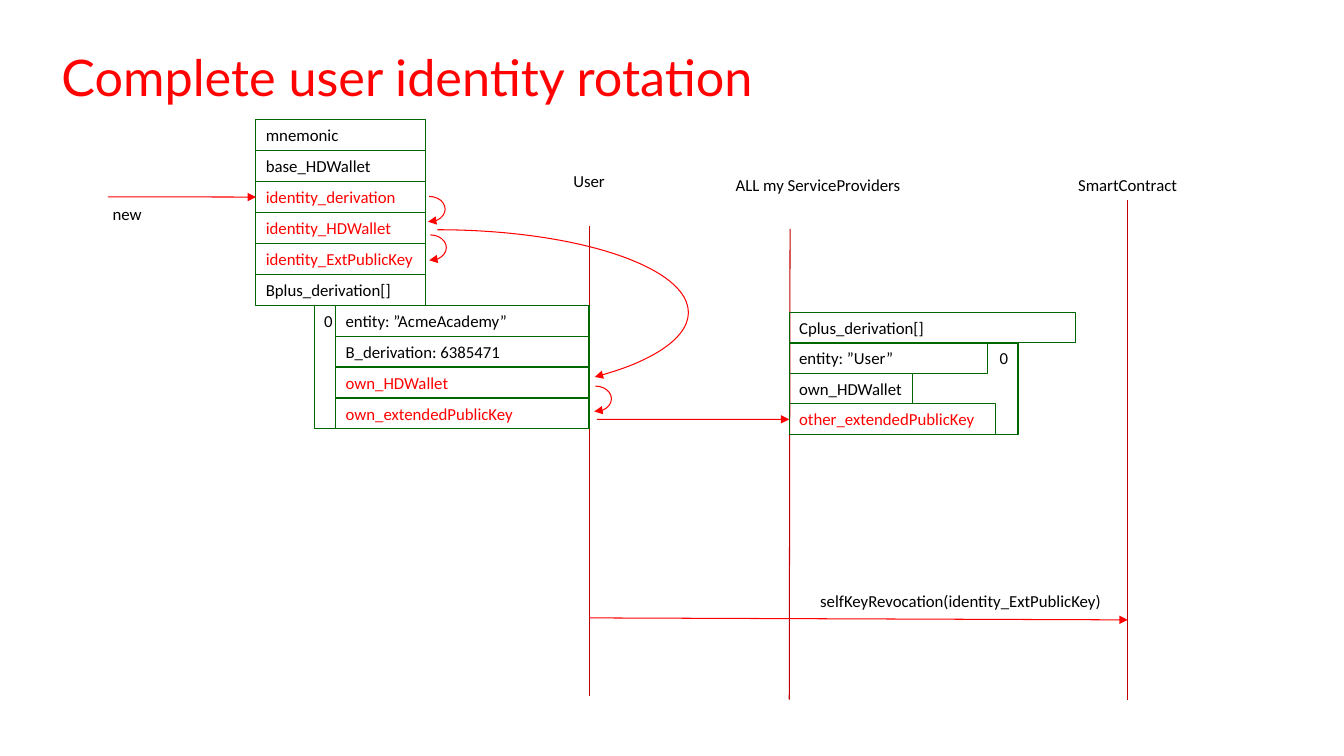
from dataclasses import dataclass
from typing import Any, Optional

from lxml.etree import SubElement
from pptx import Presentation
from pptx.dml.color import RGBColor
from pptx.enum.shapes import MSO_CONNECTOR, MSO_SHAPE
from pptx.enum.text import MSO_ANCHOR, MSO_AUTO_SIZE, PP_ALIGN
from pptx.oxml.ns import qn
from pptx.util import Cm, Pt


@dataclass(frozen=True)
class Theme:
    title: RGBColor = RGBColor(0xFF, 0x02, 0x01)
    new: RGBColor = RGBColor(0xFF, 0x00, 0x00)
    life: RGBColor = RGBColor(0xC0, 0x00, 0x00)
    edge: RGBColor = RGBColor(0x00, 0x66, 0x00)
    ink: RGBColor = RGBColor(0x00, 0x00, 0x00)
    head: Pt = Pt(36)
    body: Pt = Pt(12)
    thin: Pt = Pt(0.75)
    frame: Pt = Pt(1)


THEME = Theme()
ROW = 0.77


@dataclass(frozen=True)
class Field:
    text: str
    width: float
    fresh: bool = False
    wrap: bool = True


@dataclass(frozen=True)
class Stack:
    left: float
    top: float
    step: float
    fields: tuple[Field, ...]


@dataclass(frozen=True)
class Frame:
    left: float
    top: float
    width: float
    height: float
    align: PP_ALIGN


@dataclass(frozen=True)
class Label:
    text: str
    left: float
    top: float
    width: float
    wrap: bool = False


@dataclass(frozen=True)
class Line:
    start: tuple[float, float]
    end: tuple[float, float]
    arrow: bool = False
    goal: Optional[str] = None


@dataclass(frozen=True)
class Arc:
    left: float
    top: float
    width: float = 0.81
    height: float = 0.64
    stop: float = 56.82


STACKS = (
    Stack(6.45, 3.02, 0.78, (
        Field("mnemonic", 4.27),
        Field("base_HDWallet", 4.27),
        Field("identity_derivation", 4.27, True),
        Field("identity_HDWallet", 4.27, True),
        Field("identity_ExtPublicKey", 4.27, True, False),
        Field("Bplus_derivation[]", 4.27),
    )),
    Stack(8.46, 7.7, 0.78, (
        Field("entity: ”AcmeAcademy”", 6.4),
        Field("B_derivation: 6385471", 6.4),
        Field("own_HDWallet", 6.4, True),
        Field("own_extendedPublicKey", 6.4, True),
    )),
    Stack(19.89, 7.87, 0.77, (
        Field("Cplus_derivation[]", 7.21),
        Field("entity: ”User”", 5),
        Field("own_HDWallet", 3.12),
        Field("other_extendedPublicKey", 5.21, True),
    )),
)
FRAMES = (
    Frame(7.92, 7.7, 6.93, 3.1, PP_ALIGN.LEFT),
    Frame(19.89, 8.64, 5.77, 2.31, PP_ALIGN.RIGHT),
)
LABELS = (
    Label("User", 14.2, 4.17, 1.32),
    Label("ALL my ServiceProviders", 18.29, 4.29, 4.7),
    Label("SmartContract", 26.92, 4.29, 3.02),
    Label("new", 2.59, 5, 1.24),
    Label("selfKeyRevocation(identity_ExtPublicKey)", 20.42, 14.76, 8.03, True),
)
LIVES = (
    Line((14.86, 5.69), (14.86, 17.55)),
    Line((19.91, 5.77), (19.89, 17.63)),
    Line((28.42, 5.05), (28.42, 17.63)),
)
ARROWS = (
    Line((2.72, 4.96), (6.45, 4.96), True, "identity_derivation"),
    Line((15.04, 10.57), (19.89, 10.57), True, "other_extendedPublicKey"),
    Line((14.86, 15.57), (28.42, 15.62), True),
)
ARCS = (
    Arc(10.41, 4.95),
    Arc(10.44, 5.92),
    Arc(4.7, 5.79, 12.65, 4.17, 13.36),
    Arc(14.6, 9.73),
)


def apply(item: Any, look: dict[str, Any]) -> None:
    for name, value in look.items():
        setattr(item, name, value)


def write(shape: Any, text: str, ink: RGBColor, wrap: bool = True,
          align: PP_ALIGN = PP_ALIGN.LEFT, grow: bool = True) -> None:
    size = MSO_AUTO_SIZE.SHAPE_TO_FIT_TEXT if grow else MSO_AUTO_SIZE.NONE
    apply(shape.text_frame, {"word_wrap": wrap, "auto_size": size,
                             "vertical_anchor": MSO_ANCHOR.TOP})
    part = shape.text_frame.paragraphs[0]
    part.alignment = align
    run = part.add_run()
    run.text = text
    apply(run.font, {"name": "Calibri", "size": THEME.body})
    run.font.color.rgb = ink


def stroke(shape: Any, color: RGBColor, width: Pt, arrow: bool = False) -> None:
    shape.line.color.rgb = color
    shape.line.width = width
    if arrow:
        SubElement(shape.line._get_or_add_ln(), qn("a:tailEnd"), type="triangle")


def draw_shape(slide: Any, kind: MSO_SHAPE, left: float, top: float,
               width: float, height: float) -> Any:
    shape = slide.shapes.add_shape(kind, Cm(left), Cm(top), Cm(width), Cm(height))
    shape.shadow.inherit = False
    shape.fill.background()
    return shape


def draw_frame(slide: Any, frame: Frame) -> None:
    shape = draw_shape(slide, MSO_SHAPE.RECTANGLE, frame.left, frame.top,
                       frame.width, frame.height)
    stroke(shape, THEME.edge, THEME.frame)
    write(shape, "0", THEME.ink, align=frame.align, grow=False)


def draw_stack(slide: Any, stack: Stack) -> dict[str, Any]:
    boxes = {}
    for index, field in enumerate(stack.fields):
        box = draw_shape(slide, MSO_SHAPE.RECTANGLE, stack.left,
                         stack.top + index * stack.step, field.width, ROW)
        stroke(box, THEME.edge, THEME.thin)
        write(box, field.text, THEME.new if field.fresh else THEME.ink, field.wrap)
        boxes[field.text] = box
    return boxes


def draw_label(slide: Any, label: Label) -> None:
    box = slide.shapes.add_textbox(Cm(label.left), Cm(label.top),
                                   Cm(label.width), Cm(ROW))
    write(box, label.text, THEME.ink, label.wrap)


def draw_line(slide: Any, line: Line, color: RGBColor, boxes: dict[str, Any]) -> None:
    link = slide.shapes.add_connector(MSO_CONNECTOR.STRAIGHT,
                                      *map(Cm, line.start + line.end))
    if line.goal:
        link.end_connect(boxes[line.goal], 1)
    stroke(link, color, THEME.thin, line.arrow)
    SubElement(link._element.spPr, qn("a:effectLst"))


def draw_arc(slide: Any, arc: Arc) -> None:
    shape = draw_shape(slide, MSO_SHAPE.ARC, arc.left, arc.top, arc.width, arc.height)
    shape.adjustments[0] = 162
    shape.adjustments[1] = arc.stop
    stroke(shape, THEME.new, THEME.thin, True)


def draw_title(slide: Any) -> None:
    box = slide.shapes.add_textbox(Cm(1.55), Cm(1.17), Cm(21.18), Cm(1.55))
    write(box, "Complete user identity rotation", THEME.title)
    apply(box.text_frame, dict.fromkeys(
        ("margin_left", "margin_top", "margin_right", "margin_bottom"), 0))
    apply(box.text_frame.paragraphs[0].runs[0].font,
          {"name": "Lato", "size": THEME.head})


def main() -> None:
    deck = Presentation()
    apply(deck, {"slide_width": Cm(33.87), "slide_height": Cm(19.05)})
    slide = deck.slides.add_slide(deck.slide_layouts[6])
    boxes: dict[str, Any] = {}
    draw_title(slide)
    for life in LIVES:
        draw_line(slide, life, THEME.life, boxes)
    for frame in FRAMES:
        draw_frame(slide, frame)
    for stack in STACKS:
        boxes.update(draw_stack(slide, stack))
    for label in LABELS:
        draw_label(slide, label)
    for arc in ARCS:
        draw_arc(slide, arc)
    for arrow in ARROWS:
        draw_line(slide, arrow, THEME.new, boxes)
    deck.save("out.pptx")


if __name__ == "__main__":
    main()
